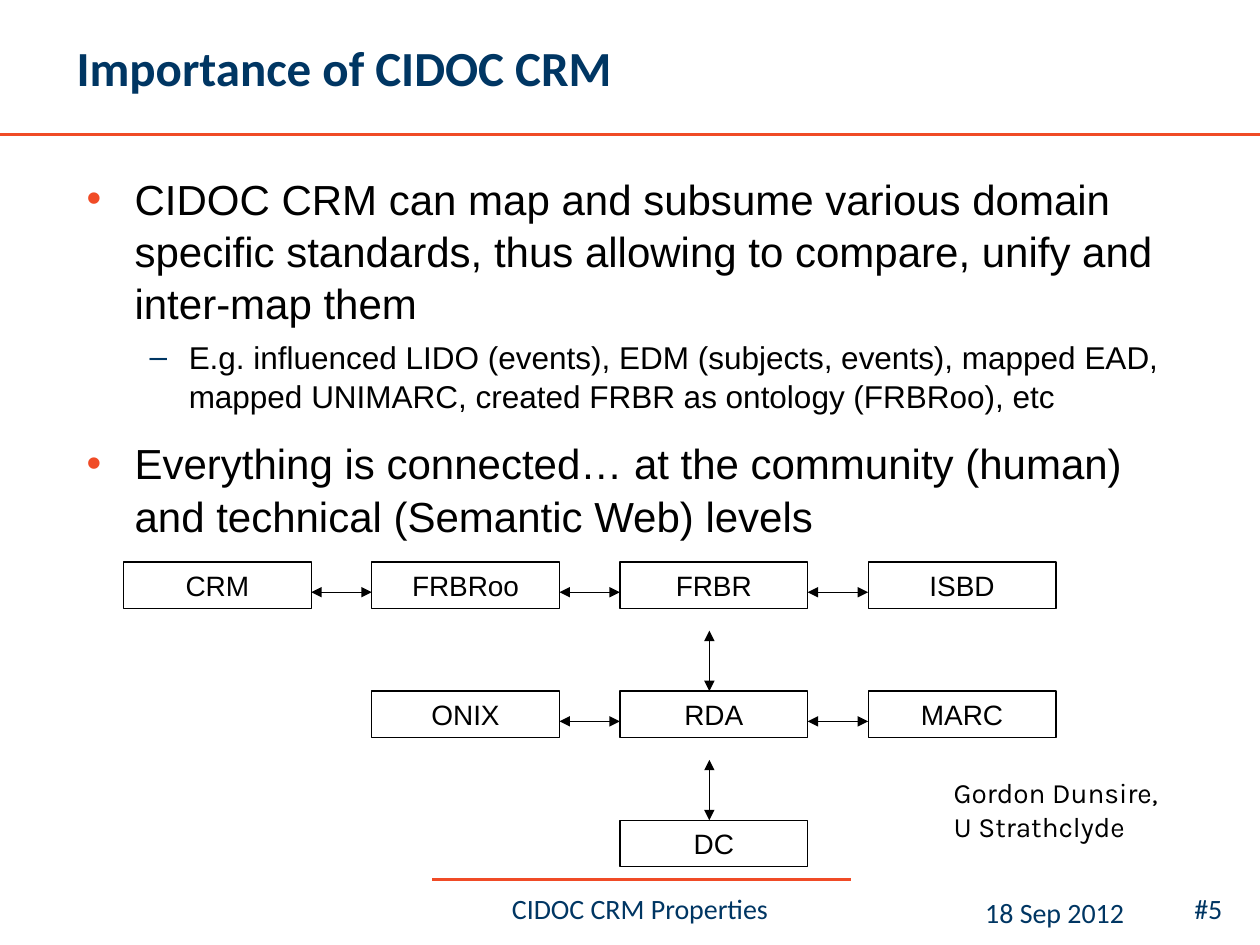
from dataclasses import dataclass

from lxml import etree
from pptx import Presentation
from pptx.dml.color import RGBColor
from pptx.enum import shapes, text
from pptx.oxml import ns
from pptx.util import Inches, Pt


@dataclass(frozen=True)
class Theme:
    navy: str = "003663"
    orange: str = "F04B26"
    black: str = "000000"
    heading_font: str = "Calibri"
    body_font: str = "Arial"
    credit_font: str = "Karla"
    title_size: float = 28
    point_size: float = 24
    detail_size: float = 18
    label_size: float = 16
    rule_width: float = 1.5
    box_width: float = 0.75


THEME = Theme()

POINTS = [
    (0, "CIDOC CRM can map and subsume various domain specific standards, "
        "thus allowing to compare, unify and inter-map them"),
    (1, "E.g. influenced LIDO (events), EDM (subjects, events), mapped EAD, "
        "mapped UNIMARC, created FRBR as ontology (FRBRoo), etc"),
    (0, "Everything is connected… at the community (human) and technical "
        "(Semantic Web) levels"),
]

# Standards by row and column; neighbours in a row are linked.
STANDARDS = [
    ["CRM", "FRBRoo", "FRBR", "ISBD"],
    [None, "ONIX", "RDA", "MARC"],
    [None, None, "DC", None],
]
HUB_COLUMN = 2


def add_child(parent, tag, **attributes):
    return etree.SubElement(parent, ns.qn(tag), attributes)


def write(paragraph, words, *, size, font=THEME.body_font, color=THEME.black,
          bold=False, align=text.PP_ALIGN.LEFT):
    paragraph.text = words
    paragraph.alignment = align
    paragraph.font.size = Pt(size)
    paragraph.font.name = font
    paragraph.font.bold = bold
    paragraph.font.color.rgb = RGBColor.from_string(color)


def add_text(slide, box, words, *, anchor=text.MSO_ANCHOR.TOP, wrap=True, **style):
    frame = slide.shapes.add_textbox(*map(Inches, box)).text_frame
    frame.word_wrap = wrap
    frame.vertical_anchor = anchor
    write(frame.paragraphs[0], words, **style)


def add_line(slide, start, end, *, color, width, arrows=False):
    line = slide.shapes.add_connector(
        shapes.MSO_CONNECTOR.STRAIGHT, *map(Inches, (*start, *end)))
    line.line.color.rgb = RGBColor.from_string(color)
    line.line.width = Pt(width)
    if arrows:
        outline = line.line._get_or_add_ln()
        for tag in ("a:headEnd", "a:tailEnd"):
            add_child(outline, tag, type="triangle")
    add_child(line._element.spPr, "a:effectLst")


def add_title(slide, box):
    left, top, width, height = box
    add_line(slide, (0, top + height), (10, top + height),
             color=THEME.orange, width=THEME.rule_width)
    add_text(slide, box, "Importance of CIDOC CRM", size=THEME.title_size,
             font=THEME.heading_font, color=THEME.navy, bold=True,
             anchor=text.MSO_ANCHOR.MIDDLE)


def add_points(slide, box):
    # Per level: text size, space before, left margin, hanging indent, bullet, colour
    levels = [
        (THEME.point_size, 12, 0.38, 0.38, "•", THEME.orange),
        (THEME.detail_size, 4.5, 0.81, 0.31, "–", THEME.navy),
    ]
    frame = slide.shapes.add_textbox(*map(Inches, box)).text_frame
    frame.word_wrap = True
    for index, (level, words) in enumerate(POINTS):
        size, before, margin, hanging, bullet, bullet_color = levels[level]
        point = frame.add_paragraph() if index else frame.paragraphs[0]
        point.level = level
        point.line_spacing = 1.04
        point.space_before = Pt(before if index else 0)
        properties = point._p.get_or_add_pPr()
        properties.set("marL", str(Inches(margin)))
        properties.set("indent", str(-Inches(hanging)))
        add_child(add_child(properties, "a:buClr"), "a:srgbClr", val=bullet_color)
        add_child(properties, "a:buFont", typeface=THEME.body_font)
        add_child(properties, "a:buChar", char=bullet)
        write(point, words, size=size)


def add_standard(slide, box, name):
    standard = slide.shapes.add_shape(
        shapes.MSO_SHAPE.RECTANGLE, *map(Inches, box))
    standard.shadow.inherit = False
    standard.fill.background()
    standard.line.color.rgb = RGBColor.from_string(THEME.black)
    standard.line.width = Pt(THEME.box_width)
    standard.text_frame.vertical_anchor = text.MSO_ANCHOR.MIDDLE
    write(standard.text_frame.paragraphs[0], name, size=THEME.label_size,
          align=text.PP_ALIGN.CENTER)


def add_standards_map(slide, box):
    """Grid of standards, linked along each row and down the hub column."""
    left, top, width, height = box
    cell_width, cell_height = 1.49, 0.37
    column_step = (width - cell_width) / (len(STANDARDS[0]) - 1)
    row_step = (height - cell_height) / (len(STANDARDS) - 1)
    gap = column_step - cell_width
    link = dict(color=THEME.black, width=THEME.box_width, arrows=True)

    for row, names in enumerate(STANDARDS):
        y = top + row * row_step
        for column, name in enumerate(names):
            if not name:
                continue
            x = left + column * column_step
            add_standard(slide, (x, y, cell_width, cell_height), name)
            if column and names[column - 1]:
                add_line(slide, (x - gap, y + 0.24), (x, y + 0.24), **link)
        if row:
            hub_x = left + HUB_COLUMN * column_step + 0.71
            add_line(slide, (hub_x, y - gap), (hub_x, y), **link)


def add_footer(slide, box):
    left, top, width, height = box
    add_line(slide, (left + 0.95, top), (left + 4.27, top),
             color=THEME.orange, width=THEME.rule_width)
    style = dict(size=THEME.label_size, font=THEME.heading_font, color=THEME.navy)
    right = text.PP_ALIGN.RIGHT
    add_text(slide, (left, top + 0.05, 5.2, 0.33), "CIDOC CRM Properties",
             align=text.PP_ALIGN.CENTER, **style)
    add_text(slide, (left + 5.2, top + 0.08, 1.34, 0.3), "18 Sep 2012",
             align=right, **style)
    add_text(slide, (left + width - 0.82, top + 0.05, 0.82, 0.33), "#5",
             align=right, **style)


def main():
    deck = Presentation()
    deck.slide_width, deck.slide_height = Inches(10), Inches(7.5)
    slide = deck.slides.add_slide(deck.slide_layouts[6])
    add_title(slide, (0.51, 0, 9.13, 1.07))
    add_points(slide, (0.59, 1.31, 9.06, 3))
    add_standards_map(slide, (0.98, 4.46, 7.4, 2.42))
    add_text(slide, (7.47, 6.11, 1.98, 0.64), "Gordon Dunsire,\vU Strathclyde",
             size=THEME.label_size, font=THEME.credit_font, wrap=False)
    add_footer(slide, (2.48, 6.98, 7.32, 0.38))
    deck.save("out.pptx")


if __name__ == "__main__":
    main()
